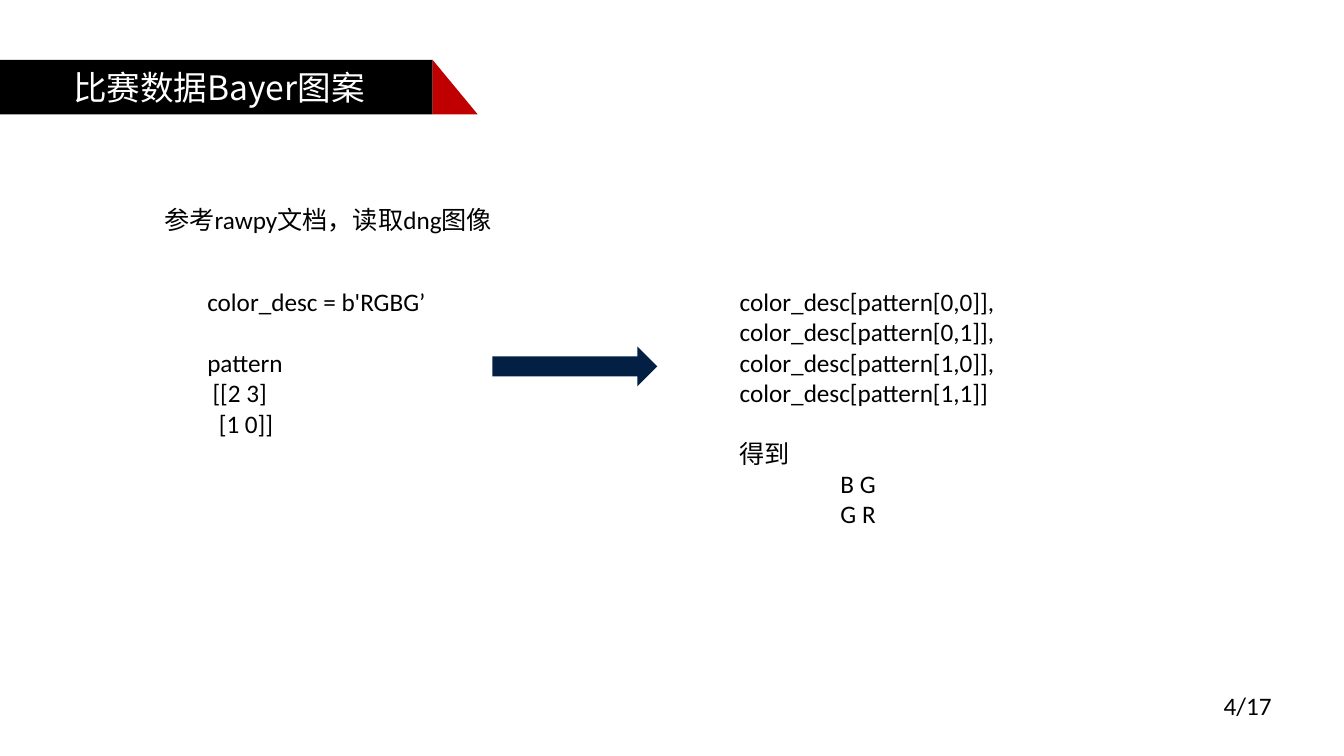
from dataclasses import dataclass

from lxml import etree
from pptx import Presentation
from pptx.dml.color import RGBColor
from pptx.enum.shapes import MSO_SHAPE
from pptx.enum.text import MSO_ANCHOR, MSO_AUTO_SIZE, PP_ALIGN
from pptx.oxml.ns import qn
from pptx.util import Pt

RECTANGLE = MSO_SHAPE.RECTANGLE
RIGHT_TRIANGLE = MSO_SHAPE.RIGHT_TRIANGLE
RIGHT_ARROW = MSO_SHAPE.RIGHT_ARROW
TOP = MSO_ANCHOR.TOP
NO_FIT = MSO_AUTO_SIZE.NONE
LEFT = PP_ALIGN.LEFT

EMU_PER_PX = 9525
TITLE_ONLY = 5


@dataclass(frozen=True)
class Theme:
    """Colours, fonts and type sizes of the slide."""
    black: RGBColor = RGBColor.from_string("000000")
    white: RGBColor = RGBColor.from_string("FFFFFF")
    red: RGBColor = RGBColor.from_string("C00000")
    navy: RGBColor = RGBColor.from_string("041F44")
    latin: str = "Calibri"
    chinese: str = "Noto Sans CJK SC"
    title_size: int = 24
    body_size: int = 18
    block_gap: int = 22


THEME = Theme()
FRAME_FORMAT = {"word_wrap": True, "auto_size": NO_FIT, "vertical_anchor": TOP}
BODY_FONT = {"name": THEME.latin, "size": Pt(THEME.body_size)}
TITLE_FONT = {"name": THEME.chinese, "size": Pt(THEME.title_size)}

PATTERN_LINES = [
    ("color_desc = b'RGBG’", {}),
    ("pattern", {"gap": THEME.block_gap}),
    ("[[2 3]", {"indent": 5}),
    ("[1 0]]", {"indent": 11}),
]
RESULT_LINES = [
    ("color_desc[pattern[0,0]],\tcolor_desc[pattern[0,1]],", {"tab": 254}),
    ("color_desc[pattern[1,0]],\tcolor_desc[pattern[1,1]]", {"tab": 254}),
    ("得到", {"gap": THEME.block_gap}),
    ("B G", {"indent": 96}),
    ("G R", {"indent": 96}),
]
TEXT_BOXES = [
    ((188, 268, 248, 156), PATTERN_LINES),
    ((695, 268, 530, 184), RESULT_LINES),
    ((1156, 653, 117, 38), [("4/17", {})]),
    ((147, 190, 400, 38), [("参考rawpy文档，读取dng图像", {})]),
]


def px(*lengths):
    """Turn pixel lengths into EMU."""
    return [length * EMU_PER_PX for length in lengths]


def apply_format(target, values):
    """Set each named attribute on the target."""
    for name, value in values.items():
        setattr(target, name, value)


def write_line(para, text, font_format, color, indent=0, gap=0, tab=0):
    """Write one paragraph with its font, indent, gap above and tab stop."""
    apply_format(para, {"alignment": LEFT, "space_before": Pt(gap)})
    properties = para._p.get_or_add_pPr()
    properties.set("marL", str(indent * EMU_PER_PX))
    properties.set("indent", "0")
    if tab:
        stops = etree.SubElement(properties, qn("a:tabLst"))
        etree.SubElement(stops, qn("a:tab"), pos=str(tab * EMU_PER_PX), algn="l")
    span = para.add_run()
    span.text = text
    apply_format(span.font, font_format)
    span.font.color.rgb = color
    etree.SubElement(span._r.get_or_add_rPr(), qn("a:ea"), typeface=THEME.chinese)


def add_text(page, place, lines):
    """Add a text box of body lines."""
    frame = page.shapes.add_textbox(*px(*place)).text_frame
    apply_format(frame, FRAME_FORMAT)
    for number, (text, layout) in enumerate(lines):
        para = frame.add_paragraph() if number else frame.paragraphs[0]
        write_line(para, text, BODY_FONT, THEME.black, **layout)


def add_block(shapes, kind, place, color):
    """Add a plain filled shape without outline."""
    block = shapes.add_shape(kind, *px(*place))
    block.shadow.inherit = False
    block.fill.solid()
    block.fill.fore_color.rgb = color
    block.line.fill.background()


def add_banner(page, text):
    """Draw the title banner and set the title on top of it."""
    banner = page.shapes.add_group_shape()
    add_block(banner.shapes, RECTANGLE, (0, 57, 412, 52), THEME.black)
    add_block(banner.shapes, RIGHT_TRIANGLE, (412, 57, 43, 52), THEME.red)
    title = page.shapes.title
    apply_format(title, dict(zip(("left", "top", "width", "height"), px(60, 59, 380, 87))))
    apply_format(title.text_frame, FRAME_FORMAT)
    write_line(title.text_frame.paragraphs[0], text, TITLE_FONT, THEME.white)
    title.element.getparent().append(title.element)


def main():
    """Build the slide and save it."""
    deck = Presentation()
    deck.slide_width, deck.slide_height = px(1280, 720)
    page = deck.slides.add_slide(deck.slide_layouts[TITLE_ONLY])
    add_banner(page, "比赛数据Bayer图案")
    for place, lines in TEXT_BOXES:
        add_text(page, place, lines)
    add_block(page.shapes, RIGHT_ARROW, (469, 330, 157, 38), THEME.navy)
    deck.save("out.pptx")


if __name__ == "__main__":
    main()
